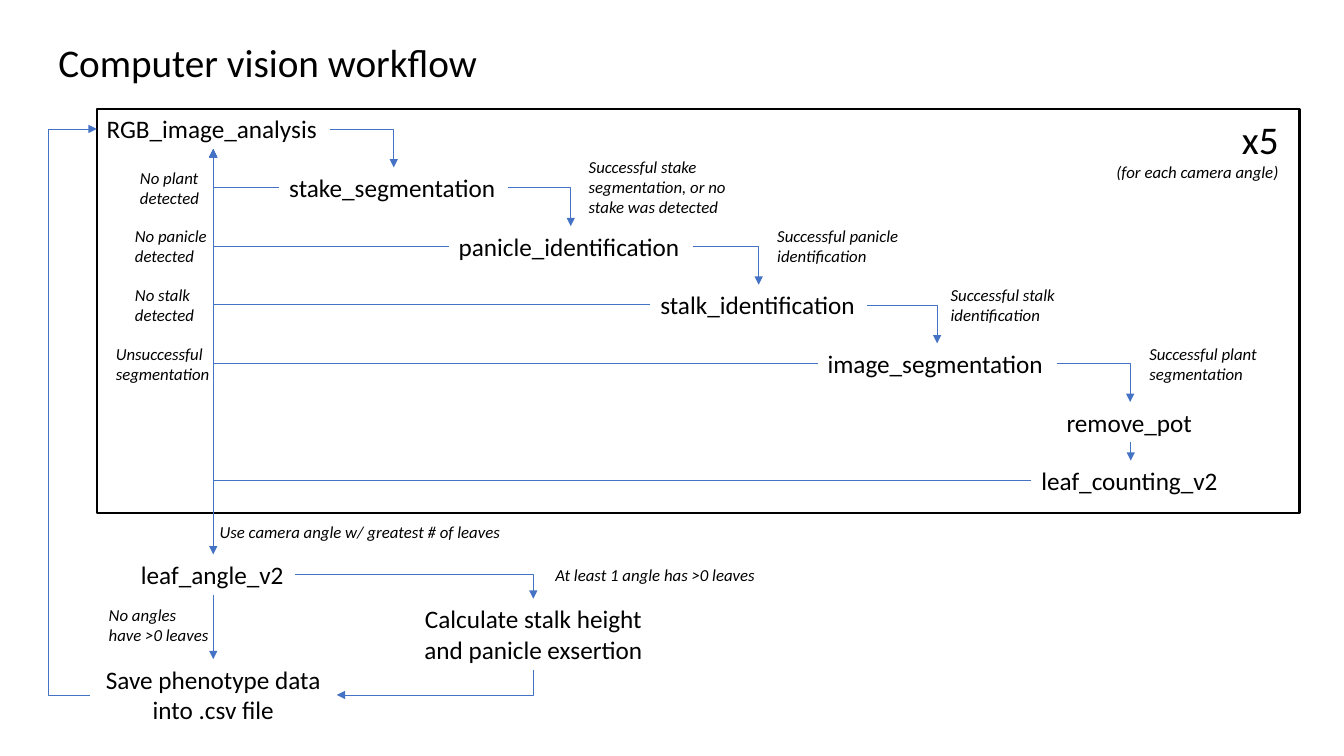
import pptx
import pptx.dml.color
import pptx.enum.shapes
import pptx.enum.text
import pptx.util
from pptx.oxml.ns import qn
from lxml import etree

Inches = pptx.util.Inches
BLACK, BLUE = "000000", "4472C4"
STEP_H = 0.4
ROW_GAP = 3.49 / 6

# Pipeline steps: name, left, width, all lefts measured from the frame
STEPS = [
    ("RGB_image_analysis", 0, 2.31),
    ("stake_segmentation", 1.81, 2.27),
    ("panicle_identification", 3.49, 2.42),
    ("stalk_identification", 5.49, 2.15),
    ("image_segmentation", 7.15, 2.37),
    ("remove_pot", 9.52, 1.46),
    ("leaf_counting_v2", 9.27, 1.97),
]
# Outcome labels by row: row, text, left, width, height
OUTCOMES = [
    (1, "Successful stake segmentation, or no stake was detected", 4.78, 1.79, 0.71),
    (2, "Successful panicle identification", 6.65, 1.79, 0.5),
    (3, "Successful stalk identification", 8.37, 1.79, 0.5),
    (4, "Successful plant segmentation", 10.34, 1.79, 0.5),
    (1, "No plant detected", 0.33, 0.8, 0.5),
    (2, "No panicle detected", 0.28, 1.07, 0.5),
    (3, "No stalk detected", 0.28, 1.01, 0.5),
    (4, "Unsuccessful segmentation", 0.09, 1.35, 0.5),
]
RETURNING_ROWS = (1, 2, 3, 4, 6)


def rgb(hex_colour):
    return pptx.dml.color.RGBColor.from_string(hex_colour)


def add_text(slide, text, left, top, width, height, size=18, italic=False,
             align="LEFT", wrap=False):
    """Each line of text is a paragraph; size may be a list, one per line."""
    box = slide.shapes.add_textbox(*map(Inches, (left, top, width, height)))
    frame = box.text_frame
    frame.word_wrap = wrap
    frame.auto_size = pptx.enum.text.MSO_AUTO_SIZE.SHAPE_TO_FIT_TEXT
    lines = text.split("\n")
    sizes = size if isinstance(size, list) else [size] * len(lines)
    for index, (line, points) in enumerate(zip(lines, sizes)):
        paragraph = frame.add_paragraph() if index else frame.paragraphs[0]
        paragraph.alignment = getattr(pptx.enum.text.PP_ALIGN, align)
        run = paragraph.add_run()
        run.text = line
        run.font.name = "Calibri"
        run.font.size = pptx.util.Pt(points)
        run.font.italic = italic or points == 12
        run.font.color.rgb = rgb(BLACK)


def add_arrow(slide, start, end, preset="line", arrow_at="tailEnd", bend=None):
    """bentConnector2 runs across first, then up or down."""
    arrow = slide.shapes.add_connector(
        pptx.enum.shapes.MSO_CONNECTOR.STRAIGHT, *map(Inches, start + end))
    arrow.line.color.rgb = rgb(BLUE)
    arrow.line.width = pptx.util.Pt(0.5)
    properties = arrow._element.spPr
    geometry = properties.find(qn("a:prstGeom"))
    geometry.set("prst", preset)
    if bend is not None:
        guide = etree.SubElement(geometry.find(qn("a:avLst")), qn("a:gd"))
        guide.set("name", "adj1")
        guide.set("fmla", f"val {round(bend * 100000)}")
    etree.SubElement(properties.find(qn("a:ln")), qn("a:" + arrow_at)).set("type", "triangle")
    etree.SubElement(properties, qn("a:effectLst"))


def add_title(slide, left, top, width, height):
    add_text(slide, "Computer vision workflow", left, top, width, height, size=28)


def add_camera_loop(slide, left, top, width, height, spine):
    # Frame and repeat count
    frame = slide.shapes.add_shape(pptx.enum.shapes.MSO_SHAPE.RECTANGLE,
                                   *map(Inches, (left, top, width, height)))
    frame.shadow.inherit = False
    frame.fill.background()
    frame.line.color.rgb = rgb(BLACK)
    frame.line.width = pptx.util.Pt(1.5)
    add_text(slide, "x5\n(for each camera angle)", left + width - 2.08, top + 0.01,
             1.97, 0.77, size=[28, 12], align="RIGHT", wrap=True)

    # Steps, the way on to the next step and the way back to the first
    for row, (name, offset, step_width) in enumerate(STEPS):
        step_left, step_top = left + offset, top + row * ROW_GAP
        middle = step_top + STEP_H / 2
        add_text(slide, name, step_left, step_top, step_width, STEP_H)
        if row in RETURNING_ROWS:
            add_arrow(slide, (step_left, middle), (spine, top + STEP_H), "bentConnector2")
        if row + 1 < len(STEPS):
            next_name, next_offset, next_width = STEPS[row + 1]
            target = (left + next_offset + next_width / 2, step_top + ROW_GAP)
            if name == "remove_pot":
                add_arrow(slide, (target[0], step_top + STEP_H), target)
            else:
                add_arrow(slide, (step_left + step_width, middle), target, "bentConnector2")

    # Outcome labels, centred on their rows
    for row, text, offset, label_width, label_height in OUTCOMES:
        middle = top + row * ROW_GAP + STEP_H / 2
        add_text(slide, text, left + offset, middle - label_height / 2,
                 label_width, label_height, size=12, italic=True, wrap=True)


def add_final_steps(slide, left, top, spine, loop_left, loop_top):
    angle_top, save_top, stalk_top = top + 0.37, top + 1.41, top + 0.81
    save_left, save_width = left + 0.41, 2.45
    stalk_left, stalk_width, block_height = left + 3.42, 2.78, 0.71
    stalk_centre = stalk_left + stalk_width / 2
    save_middle = save_top + block_height / 2
    loop_entry = loop_top + STEP_H / 2

    # Steps
    add_text(slide, "leaf_angle_v2", left + 0.82, angle_top, 1.63, STEP_H)
    add_text(slide, "Save phenotype data into .csv file", save_left, save_top,
             save_width, block_height, align="CENTER", wrap=True)
    add_text(slide, "Calculate stalk height and panicle exsertion", stalk_left, stalk_top,
             stalk_width, block_height, align="CENTER", wrap=True)

    # Arrows between steps
    add_arrow(slide, (spine, loop_top + STEP_H), (spine, angle_top))
    add_arrow(slide, (spine, angle_top + STEP_H), (spine, save_top))
    add_arrow(slide, (left + 2.45, angle_top + STEP_H / 2), (stalk_centre, stalk_top),
              "bentConnector2")
    add_arrow(slide, (save_left + save_width, save_middle),
              (stalk_centre, stalk_top + block_height), "bentConnector2", "headEnd")

    # Return to the camera loop along the left edge
    add_arrow(slide, (save_left, save_middle), (loop_left, loop_entry), "bentConnector3",
              bend=(left - save_left) / (loop_left - save_left))

    # Conditions
    add_text(slide, "Use camera angle w/ greatest # of leaves", left + 1.6, top,
             3.01, 0.3, size=12, italic=True)
    add_text(slide, "At least 1 angle has >0 leaves", left + 4.93, top + 0.42,
             2.2, 0.3, size=12, italic=True)
    add_text(slide, "No angles have >0 leaves", left + 0.5, top + 0.82,
             1.21, 0.5, size=12, italic=True, wrap=True)


def main():
    deck = pptx.Presentation()
    deck.slide_width, deck.slide_height = Inches(13.33), Inches(7.5)
    slide = deck.slides.add_slide(deck.slide_layouts[6])
    loop_left, loop_top = 0.96, 1.08
    spine = loop_left + STEPS[0][2] / 2
    add_title(slide, 0.48, 0.33, 4.4, 0.57)
    add_camera_loop(slide, loop_left, loop_top, 11.93, 4.01, spine)
    add_final_steps(slide, 0.48, 5.13, spine, loop_left, loop_top)
    deck.save("out.pptx")


if __name__ == "__main__":
    main()
